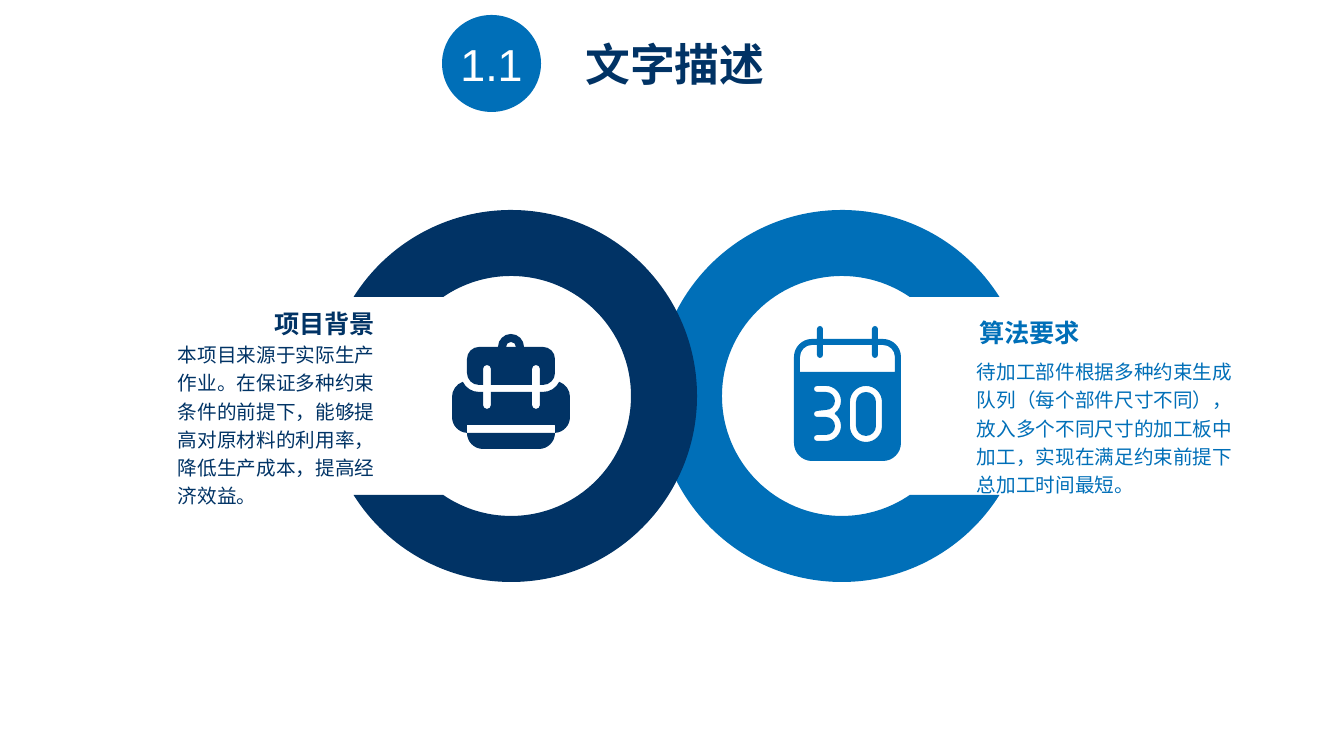
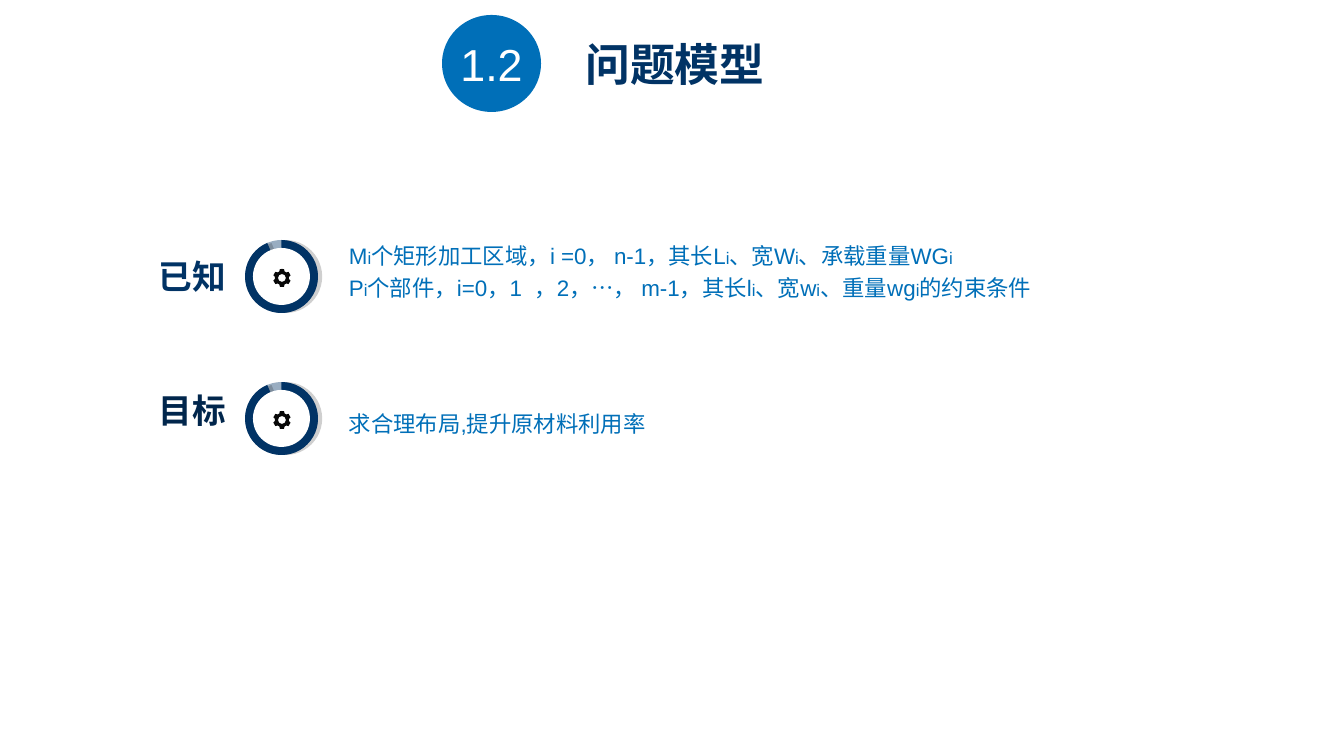
"""Build two slides: a text description with linked rings, and a problem model."""
import math
from lxml import etree
from pptx import Presentation
from pptx.dml.color import RGBColor
from pptx.enum import shapes, text as styles
from pptx.oxml import ns
from pptx.util import Emu, Pt

SCALE = 914400 / 100.8
FONT = "Arial"
COLOURS = {"navy": "013365", "deep": "01264C", "blue": "006FB8",
           "white": "FFFFFF", "black": "080808"}
KIND = shapes.MSO_SHAPE
ALIGN = styles.PP_ALIGN
ANCHOR = styles.MSO_ANCHOR


def add_piece(slide, box=(), preset=None, colour=None, adjustments=(), contours=()):
    """Add a text box, a preset, or contours of arcs (x, y, radius, start, end)."""
    lengths = [Emu(round(pixels * SCALE)) for pixels in box]
    if contours:
        builder, curves, count = None, [], 0
        for arcs in contours:
            points = []
            for x, y, radius, start, end in arcs:
                low, high = sorted((start, end))
                quarters = [angle for angle in range(-360, 361, 90) if low < angle < high]
                stops = sorted({start, end, *quarters}, reverse=end < start)
                turns = [math.radians(stop) for stop in stops]
                points.append((x + radius * math.cos(turns[0]), y + radius * math.sin(turns[0])))
                for before, after in zip(turns, turns[1:]):
                    reach = radius * 4 / 3 * math.tan((after - before) / 4)
                    left, top = points[-1]
                    right, bottom = x + radius * math.cos(after), y + radius * math.sin(after)
                    curves.append(count + len(points) - 1)
                    points += [(left - reach * math.sin(before), top + reach * math.cos(before)),
                               (right + reach * math.sin(after), bottom - reach * math.cos(after)),
                               (right, bottom)]
            count += len(points) - 1
            points = [(x * SCALE, y * SCALE) for x, y in points]
            if builder:
                builder.move_to(*points[0])
            else:
                builder = slide.shapes.build_freeform(*points[0])
            builder.add_line_segments(points[1:], close=True)
        shape = builder.convert_to_shape()
        outline = shape._element.spPr.find(".//" + ns.qn("a:path"))
        lines = outline.findall(ns.qn("a:lnTo"))
        for index in curves:
            lines[index].tag = ns.qn("a:cubicBezTo")
            for line in lines[index + 1:index + 3]:
                lines[index].append(line[0])
                outline.remove(line)
    elif preset is None:
        return slide.shapes.add_textbox(*lengths)
    else:
        shape = slide.shapes.add_shape(preset, *lengths)
    shape.shadow.inherit = False
    shape.fill.solid()
    shape.fill.fore_color.rgb = RGBColor.from_string(COLOURS[colour])
    shape.line.fill.background()
    for index, value in enumerate(adjustments):
        shape.adjustments[index] = value
    return shape


def write_text(shape, text, size=16, small=12, colour="blue", bold=False, align=ALIGN.LEFT,
               anchor=ANCHOR.TOP, inset=(8, 0), spacing=1.0, wrap=True):
    frame = shape.text_frame
    frame.word_wrap = wrap
    frame.vertical_anchor = anchor
    frame.margin_left = frame.margin_right = Emu(round(inset[0] * SCALE))
    frame.margin_top = frame.margin_bottom = Emu(round(inset[1] * SCALE))
    for row, line in enumerate(text.split("\n")):
        paragraph = frame.add_paragraph() if row else frame.paragraphs[0]
        paragraph.alignment = align
        paragraph.line_spacing = spacing
        for index, part in enumerate(line.split("|")):
            run = paragraph.add_run()
            run.text = part
            run.font.name = FONT
            run.font.size = Pt(small if index % 2 else size)
            run.font.bold = bold
            run.font.color.rgb = RGBColor.from_string(COLOURS[colour])


presentation = Presentation()
presentation.slide_width = Emu(round(1344 * SCALE))
presentation.slide_height = Emu(round(756 * SCALE))

slides = []
for number, title in [("1.1", "文字描述"), ("1.2", "问题模型")]:
    slide = presentation.slides.add_slide(presentation.slide_layouts[6])
    badge = add_piece(slide, (442, 15, 99, 97), KIND.OVAL, "blue")
    write_text(badge, number, size=32, colour="white", align=ALIGN.CENTER,
               anchor=ANCHOR.MIDDLE, inset=(0, 0), wrap=False)
    write_text(add_piece(slide, (575, 32, 200, 65)), title, size=32, colour="navy", bold=True,
               align=ALIGN.CENTER, inset=(10, 5), wrap=False)
    slides.append(slide)
description, model = slides

RING_Y, OUTER, INNER, HALF_GAP = 396, 186, 120, 99
outer_sweep, inner_sweep = (180 - math.degrees(math.asin(HALF_GAP / radius))
                            for radius in (OUTER, INNER))
for centre, middle, colour in [(842, 180, "blue"), (511, 0, "navy")]:
    add_piece(description, colour=colour, contours=[[
        (centre, RING_Y, OUTER, middle - outer_sweep, middle + outer_sweep),
        (centre, RING_Y, INNER, middle + inner_sweep, middle - inner_sweep)]])

pin_tops, pin_feet = [], []
for x in (820, 875):
    pin_tops += [(x - 3, 339, 0, 0, 0), (x, 329, 3, 180, 360), (x + 3, 339, 0, 0, 0)]
    pin_feet += [(x - 3, 345, 0, 0, 0), (x, 355, 3, 180, 0), (x + 3, 345, 0, 0, 0)]
calendar = [
    [(812, 357, 18, 180, 270), *pin_tops, (883, 357, 18, 270, 360),
     (883, 443, 18, 0, 90), (812, 443, 18, 90, 180)],
    [(812, 357, 12, 180, 270), *pin_feet, (883, 357, 12, 270, 360),
     (895, 372, 0, 0, 0), (800, 372, 0, 0, 0)],
    [(817, 389, 3, 90, 270), (826, 401, 15, -90, 53), (826, 426, 15, -53, 90),
     (817, 438, 3, 90, 270), (826, 426, 9, 90, -90), (817, 414, 3, 90, 270),
     (826, 401, 9, 90, -90)],
    [(866, 402, 16, 180, 360), (866, 426, 16, 0, 180)],
    [(866, 402, 10, 180, 360), (866, 426, 10, 0, 180)],
]
strap_feet, strap_tops = [], []
for x in (487, 536):
    strap_feet += [(x - 4, 392, 0, 0, 0), (x, 405, 4, 180, 0), (x + 4, 392, 0, 0, 0)]
for x in (536, 487):
    strap_tops += [(x + 4, 385, 0, 0, 0), (x, 369, 4, 0, -180), (x - 4, 385, 0, 0, 0)]
backpack = [
    [(467, 433, 0, 0, 0), (555, 433, 0, 0, 0), (539, 433, 16, 0, 90), (483, 433, 16, 90, 180)],
    [(479, 374, 18, 154, 90), *strap_feet, (543, 374, 18, 90, 26),
     (554, 397, 16, -70, 0), (554, 417, 16, 0, 86),
     (555, 425, 0, 0, 0), (467, 425, 0, 0, 0),
     (468, 417, 16, 94, 180), (468, 397, 16, 180, 250)],
    [(479, 359, 12, 180, 270), (511, 347, 13, 180, 360), (543, 359, 12, 270, 360),
     (543, 373, 12, 0, 90), *strap_tops, (479, 373, 12, 90, 180)],
    [(511, 347, 5, 180, 360)],
]
add_piece(description, colour="blue", contours=calendar)
add_piece(description, colour="navy", contours=backpack)

topics = [
    ("算法要求", (971, 317, 271, 56), ALIGN.LEFT, "blue", (969, 374, 274, 104),
     "待加工部件根据多种约束生成队列（每个部件尺寸不同），放入多个不同尺寸的加工板中加工，"
     "实现在满足约束前提下总加工时间最短。"),
    ("项目背景", (118, 308, 265, 66), ALIGN.RIGHT, "navy", (170, 374, 222, 98),
     "本项目来源于实际生产作业。在保证多种约束条件的前提下，能够提高对原材料的利用率，"
     "降低生产成本，提高经济效益。"),
]
for heading, heading_box, align, colour, body_box, body in topics:
    write_text(add_piece(description, body_box), body, size=14, colour=colour,
               anchor=ANCHOR.MIDDLE, spacing=1.2)
    write_text(add_piece(description, heading_box), heading, size=18, colour=colour,
               bold=True, align=align)

rows = [
    ("已知", "navy", (149, 252, 90, 49), 240, (337, 231, 733, 132),
     "M|i|个矩形加工区域，i =0， n-1，其长L|i|、宽W|i|、承载重量WG|i\n"
     "P|i|个部件，i=0，1  ，2，…， m-1，其长l|i|、宽w|i|、重量wg|i|的约束条件"),
    ("目标", "deep", (149, 390, 90, 41), 382, (337, 399, 492, 62),
     "求合理布局,提升原材料利用率"),
]
for label, colour, label_box, top, body_box, body in rows:
    write_text(add_piece(model, body_box), body, inset=(12, 6), spacing=1.2)
    track = add_piece(model, (245, top, 73, 73), KIND.OVAL, "navy")
    tint = track.fill._xPr.find(".//" + ns.qn("a:srgbClr"))
    etree.SubElement(tint, ns.qn("a:alpha"), val="40000")
    dial = add_piece(model, (245, top, 73, 73), KIND.PIE, "navy", [270 * 0.6, 247 * 0.6])
    effects = dial._element.spPr.find(ns.qn("a:effectLst"))
    shadow = etree.SubElement(effects, ns.qn("a:outerShdw"), dist=str(Pt(3)), dir="0")
    shade = etree.SubElement(shadow, ns.qn("a:srgbClr"), val="000000")
    etree.SubElement(shade, ns.qn("a:alpha"), val="18000")
    add_piece(model, (253, top + 8, 57, 57), KIND.OVAL, "white")
    hub = (282, top + 38)
    teeth = []
    for turn in range(0, 360, 60):
        teeth += [(*hub, 7, turn - 8, turn + 8), (*hub, 9, turn + 17, turn + 43)]
    add_piece(model, colour="black", contours=[teeth, [(*hub, 4, 0, 360)]])
    write_text(add_piece(model, label_box), label, size=24, colour=colour, bold=True,
               anchor=ANCHOR.MIDDLE, inset=(10, 5), wrap=False)

presentation.save("out.pptx")
